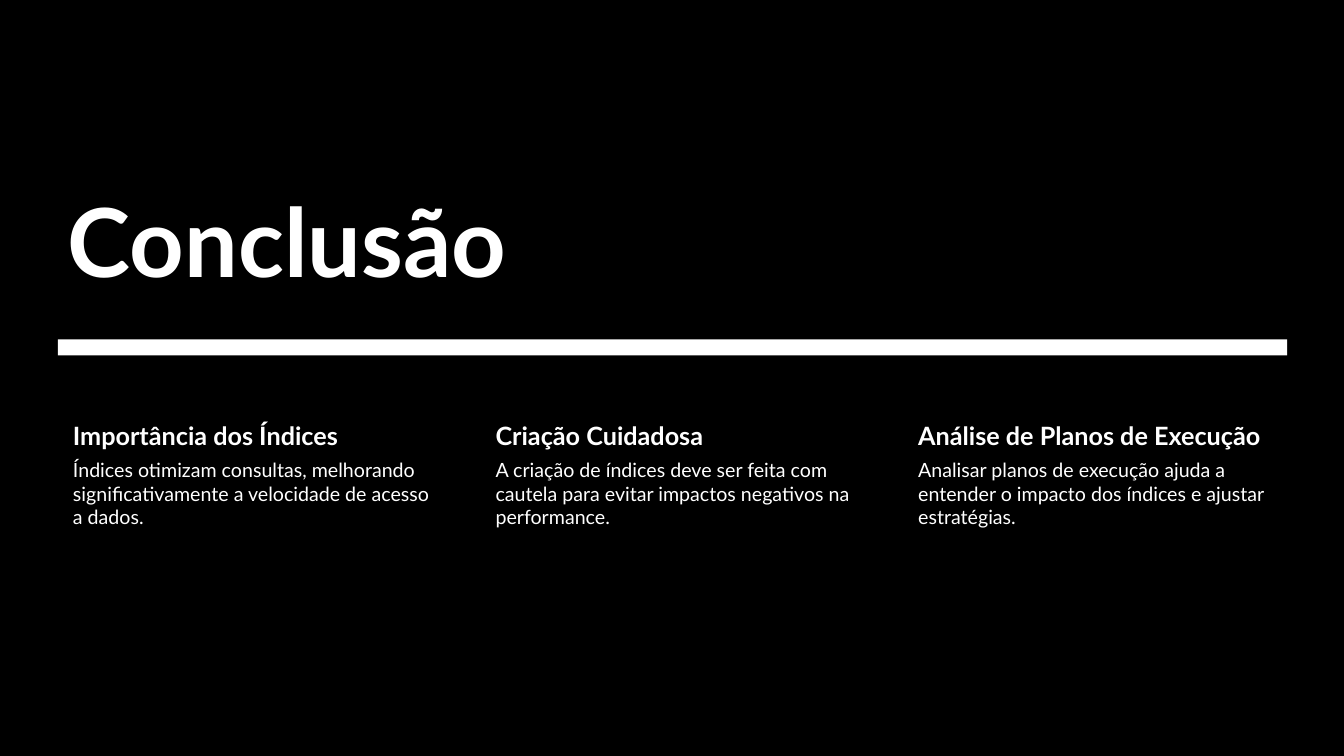
from dataclasses import dataclass

from pptx import Presentation
from pptx.dml.color import RGBColor
from pptx.enum.shapes import MSO_SHAPE
from pptx.enum.text import MSO_ANCHOR
from pptx.util import Cm, Pt


@dataclass(frozen=True)
class Theme:
    background: RGBColor = RGBColor(0x00, 0x00, 0x00)
    foreground: RGBColor = RGBColor(0xFF, 0xFF, 0xFF)
    font: str = "Lato"
    title_size: int = 68
    heading_size: int = 18
    body_size: int = 14


THEME = Theme()
SLIDE_WIDTH = 33.87
SLIDE_HEIGHT = 19.05
LEFT = 1.46
CONTENT_WIDTH = 30.98
COLUMN_WIDTH = 9.68
HEADING_TOP = 10.51
HEADING_HEIGHT = 0.98
BODY_HEIGHT = 5.82

COLUMNS = [
    ("Importância dos Índices",
     "Índices otimizam consultas, melhorando significativamente a velocidade de acesso a dados."),
    ("Criação Cuidadosa",
     "A criação de índices deve ser feita com cautela para evitar impactos negativos na performance."),
    ("Análise de Planos de Execução",
     "Analisar planos de execução ajuda a entender o impacto dos índices e ajustar estratégias."),
]


def add_text(slide, text, box, size, bold=False, anchor=MSO_ANCHOR.TOP,
             left_margin=0.38, other_margin=0.05):
    """Add a one-paragraph text box; box is left, top, width, height in cm."""
    shape = slide.shapes.add_textbox(*map(Cm, box))
    frame = shape.text_frame
    frame.word_wrap = True
    frame.vertical_anchor = anchor
    frame.margin_left = Cm(left_margin)
    frame.margin_top = frame.margin_right = frame.margin_bottom = Cm(other_margin)
    run = frame.paragraphs[0].add_run()
    run.text = text
    run.font.name = THEME.font
    run.font.size = Pt(size)
    run.font.bold = bold
    run.font.color.rgb = THEME.foreground


def add_rectangle(slide, box, color):
    """Add a plain filled rectangle; box is left, top, width, height in cm."""
    rectangle = slide.shapes.add_shape(MSO_SHAPE.RECTANGLE, *map(Cm, box))
    rectangle.shadow.inherit = False
    rectangle.fill.solid()
    rectangle.fill.fore_color.rgb = color
    rectangle.line.fill.background()


def add_title(slide, text):
    add_text(slide, text, (LEFT, 3.7, CONTENT_WIDTH, 3.91), THEME.title_size,
             bold=True, anchor=MSO_ANCHOR.BOTTOM, left_margin=0.25, other_margin=0.13)


def add_column(slide, left, heading, body):
    add_text(slide, heading, (left, HEADING_TOP, COLUMN_WIDTH, HEADING_HEIGHT),
             THEME.heading_size, bold=True, other_margin=0.08)
    add_text(slide, body, (left, HEADING_TOP + HEADING_HEIGHT, COLUMN_WIDTH, BODY_HEIGHT),
             THEME.body_size)


def main():
    presentation = Presentation()
    presentation.slide_width = Cm(SLIDE_WIDTH)
    presentation.slide_height = Cm(SLIDE_HEIGHT)
    slide = presentation.slides.add_slide(presentation.slide_layouts[6])
    slide.background.fill.solid()
    slide.background.fill.fore_color.rgb = THEME.background

    add_rectangle(slide, (0, 0, SLIDE_WIDTH, SLIDE_HEIGHT), THEME.background)
    add_rectangle(slide, (LEFT, 8.55, CONTENT_WIDTH, 0.41), THEME.foreground)
    add_title(slide, "Conclusão")
    pitch = (CONTENT_WIDTH - COLUMN_WIDTH) / (len(COLUMNS) - 1)
    for index, (heading, body) in enumerate(COLUMNS):
        add_column(slide, LEFT + index * pitch, heading, body)

    presentation.save("out.pptx")


if __name__ == "__main__":
    main()
